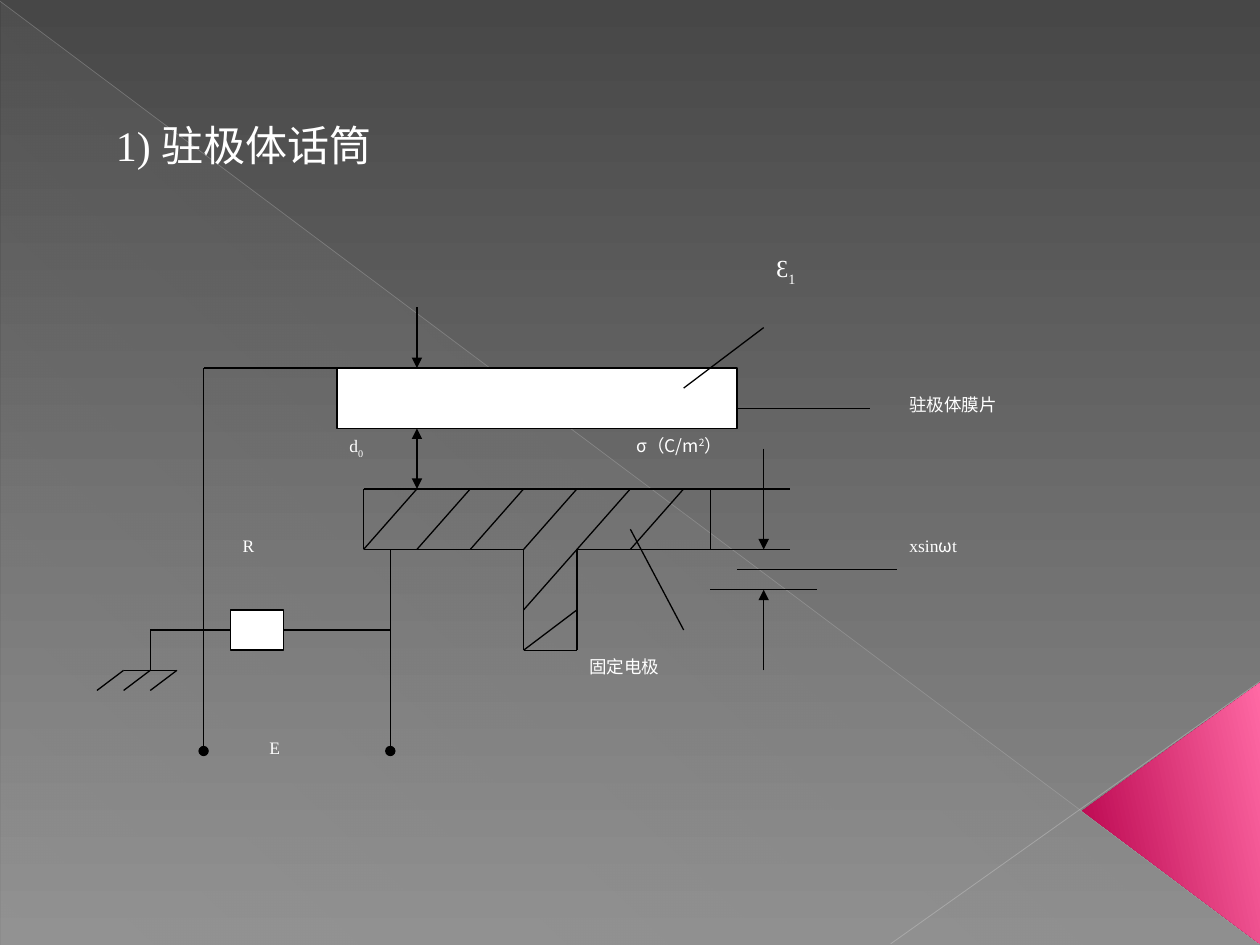
from lxml import etree
from pptx import Presentation
from pptx.dml.color import RGBColor
from pptx.enum import shapes as sh, text as tx
from pptx.oxml import ns
from pptx.util import Pt

hue = RGBColor.from_string
serif, sans = "Times New Roman", "Noto Sans CJK SC"
left, top, dx, dy = 55.4, 175.7, 15.24, 11.52

deck = Presentation()
deck.slide_width, deck.slide_height = Pt(720), Pt(540)
slide = deck.slides.add_slide(deck.slide_layouts[5])
items = slide.shapes


def line(x1, y1, x2, y2, color="000000", width=0.75, alpha=None, head=None, tail=None):
    wire = items.add_connector(sh.MSO_CONNECTOR.STRAIGHT, Pt(x1), Pt(y1), Pt(x2), Pt(y2))
    wire.line.color.rgb = hue(color)
    wire.line.width = Pt(width)
    props = wire._element.spPr
    if alpha:
        tint = props.find(".//" + ns.qn("a:srgbClr"))
        etree.SubElement(tint, ns.qn("a:alpha"), val=str(alpha * 1000))
    for tag, kind in (("a:headEnd", head), ("a:tailEnd", tail)):
        if kind:
            etree.SubElement(props.find(ns.qn("a:ln")), ns.qn(tag), type=kind)
    etree.SubElement(props, ns.qn("a:effectLst"))


def label(col, row, wide, runs, size=10, align=tx.PP_ALIGN.LEFT):
    box = items.add_textbox(Pt(left + col * dx), Pt(top + row * dy), Pt(wide * dx), Pt(4 * dy))
    box.text_frame.word_wrap = True
    para = box.text_frame.paragraphs[0]
    para.alignment = align
    para.font.size = Pt(size)
    para.font.color.rgb = hue("FFFFFF")
    para.font.name = runs[0][1]
    for words, face, base in runs:
        run = para.add_run()
        run.text = words
        if face != runs[0][1]:
            run.font.name = face
        if base:
            run._r.get_or_add_rPr().set("baseline", str(base * 1000))


veil = items.add_shape(sh.MSO_SHAPE.RIGHT_TRIANGLE, Pt(0.7), Pt(1.4), Pt(719.3), Pt(538.6))
line(0, 0.7, 719.3, 539.3, "BFBFBF", 0.4, 35)
line(720, 389.5, 509, 539.3, "C6C6C6", 0.48, 45)
wedge = items.add_shape(sh.MSO_SHAPE.ISOSCELES_TRIANGLE, Pt(594.7), Pt(414), Pt(149), Pt(101.5))
wedge.adjustments[0] = 0.51
wedge.rotation = 270
for shape in (veil, wedge):
    shape.shadow.inherit = False
    shape.line.fill.background()

for fill, angle, stops in (
    (slide.background.fill, 270, (("474747", 100), ("8C8C8C", 100))),
    (veil.fill, 227, (("D2D2D2", 1), ("D2D2D2", 10))),
    (wedge.fill, 282, (("B6004A", 100), ("FF69A4", 100))),
):
    fill.gradient()
    fill.gradient_angle = angle
    for spot, stop, (color, alpha) in zip((0, 1), fill.gradient_stops, stops):
        stop.position = spot
        stop.color.rgb = hue(color)
        if alpha < 100:
            tint = stop._gs.find(ns.qn("a:srgbClr"))
            etree.SubElement(tint, ns.qn("a:alpha"), val=str(alpha * 1000))

title = items.title
items._spTree.append(title._element)
title.left, title.top, title.width, title.height = Pt(59), Pt(64.8), Pt(577.4), Pt(36)
title.text_frame.text = "1) 驻极体话筒"
title.text_frame.vertical_anchor = tx.MSO_ANCHOR.TOP
title.text_frame.auto_size = tx.MSO_AUTO_SIZE.NONE
para = title.text_frame.paragraphs[0]
para.alignment = tx.PP_ALIGN.LEFT
para.font.name = serif
para.font.size = Pt(24)
para.font.color.rgb = hue("FFFFFF")

for col, row, wide, tall in ((9, 3, 15, 3), (5, 15, 2, 2)):
    plate = items.add_shape(
        sh.MSO_SHAPE.RECTANGLE, Pt(left + col * dx), Pt(top + row * dy), Pt(wide * dx), Pt(tall * dy)
    )
    plate.shadow.inherit = False
    plate.fill.solid()
    plate.fill.fore_color.rgb = hue("FFFFFF")
    plate.line.color.rgb = hue("000000")
    plate.line.width = Pt(0.75)

edge = [(10, 9), (23, 9), (23, 12), (18, 12), (18, 17), (16, 17), (16, 12), (10, 12), (10, 9)]
wires = [a + b for a, b in zip(edge, edge[1:])]
wires += [(col, 9, col - 2, 12) for col in range(12, 23, 2)]
wires += [(18, 12, 16, 15), (18, 15, 16, 17)]
wires += [(col, 18, col - 1, 19) for col in (1, 2, 3)]
wires += [
    (9, 3, 4, 3), (2, 16, 5, 16), (7, 16, 11, 16), (2, 16, 2, 18), (1, 18, 3, 18),
    (23, 9, 26, 9), (23, 12, 26, 12), (24, 13, 30, 13), (23, 14, 27, 14),
    (20, 11, 22, 16), (22, 4, 25, 1), (24, 5, 29, 5),
]
ends = [
    (4, 3, 4, 22, None, "oval"), (11, 12, 11, 22, None, "oval"),
    (12, 6, 12, 9, "triangle", "triangle"), (12, 0, 12, 3, None, "triangle"),
    (25, 18, 25, 14, None, "triangle"), (25, 7, 25, 12, None, "triangle"),
]
for x1, y1, x2, y2, head, tail in [wire + (None, None) for wire in wires] + ends:
    line(left + x1 * dx, top + y1 * dy, left + x2 * dx, top + y2 * dy, head=head, tail=tail)

for col, row, words in ((30, 4, "驻极体膜片"), (18, 17, "固定电极"), (5, 11, "R"), (6, 21, "E")):
    label(col, row, 9, [(words, serif, 0)])
label(25, -3, 5, [("Ɛ", serif, 0), ("1", serif, -30)], size=14)
label(9, 6, 5, [("d", serif, 0), ("0", serif, -30)])
label(30, 11, 9, [("xsin", serif, 0), ("ω", sans, 0), ("t", serif, 0)])
label(16, 6, 11.67, [("σ（C/m", sans, 0), ("2", sans, 30), ("）", sans, 0)], align=tx.PP_ALIGN.CENTER)

deck.save("out.pptx")
